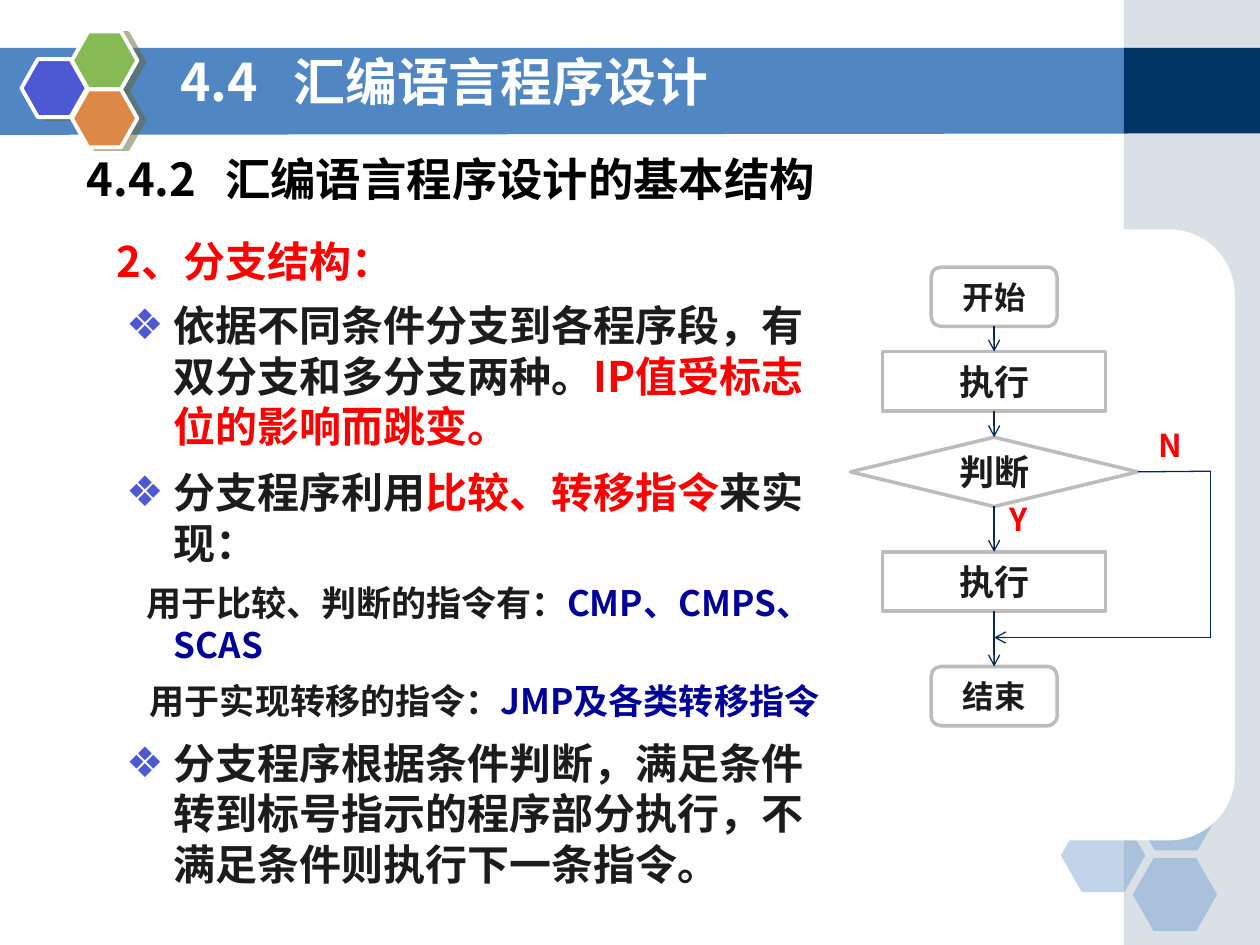
from lxml.etree import SubElement
from pptx import Presentation
from pptx.dml.color import RGBColor
from pptx.enum.shapes import MSO_CONNECTOR, MSO_SHAPE
from pptx.enum.text import MSO_ANCHOR, MSO_AUTO_SIZE, PP_ALIGN
from pptx.oxml.ns import qn
from pptx.util import Inches, Pt

FACE = "Noto Sans CJK SC"
HEX = {"band": "5086C2", "side": "A0B5C4", "navy": "003366", "blue": "4C59D2",
       "green": "85BA54", "orange": "DE8848", "shade": "666633", "white": "FFFFFF",
       "black": "000000", "ink": "1C1C1C", "red": "FF0000", "code": "000099",
       "edge": "BCBCBC", "wire": "002956"}

# Content: runs are (text, colour)
TITLE = ("4.4\t汇编语言程序设计", "white")
HEAD = ("4.4.2\t汇编语言程序设计的基本结构", "black")
TOPIC = ("2、分支结构：", "red")
BODY = [  # bullet, first-line indent, size, space before, runs
    (True, -0.38, 24, 6, [("依据不同条件分支到各程序段，有双分支和多分支两种。", "ink"),
                          ("IP值受标志位的影响而跳变。", "red")]),
    (True, -0.38, 24, 6, [("分支程序利用", "ink"), ("比较、转移指令", "red"),
                          ("来实现：", "ink")]),
    (False, -0.22, 20, 5, [("用于比较、判断的指令有：", "ink"),
                           ("CMP、CMPS、SCAS", "code")]),
    (False, -0.19, 20, 5, [("用于实现转移的指令：", "ink"),
                           ("JMP及各类转移指令", "code")]),
    (True, -0.38, 24, 6, [("分支程序根据条件判断，满足条件转到标号指示的程序部分执行，"
                           "不满足条件则执行下一条指令。", "ink")]),
]
ROUND, BOX, TEST = (MSO_SHAPE.FLOWCHART_ALTERNATE_PROCESS,
                    MSO_SHAPE.FLOWCHART_PROCESS, MSO_SHAPE.FLOWCHART_DECISION)
STEPS = [  # text, kind, top, width, height, size
    ("开始", ROUND, 2.12, 1, 0.47, 18),
    ("执行", BOX, 2.79, 1.77, 0.47, 20),
    ("判断", TEST, 3.47, 2.28, 0.55, 20),
    ("执行", BOX, 4.38, 1.77, 0.47, 20),
    ("结束", ROUND, 5.29, 1, 0.47, 18),
]
MARKS = [("Y", 7.76, 3.95), ("N", 8.96, 3.36)]
LOGO = [("blue", 0.17, 0.47), ("green", 0.57, 0.25), ("orange", 0.57, 0.71)]
CELLS = [(8.42, 6.5), (9, 6.17), (8.99, 6.81)]
AXIS, BACK, JOIN = 7.89, 9.61, 5.06  # flow centre, return line, merge height

deck = Presentation()
deck.slide_width, deck.slide_height = Inches(10), Inches(7.5)
page = deck.slides.add_slide(deck.slide_layouts[1])
shapes = page.shapes


def rgb(name):
    return RGBColor.from_string(HEX[name])


def paint(shape, fill=None, alpha=None, line=None, width=1):
    shape.shadow.inherit = False
    if fill:
        shape.fill.solid()
        shape.fill.fore_color.rgb = rgb(fill)
    else:
        shape.fill.background()
    if alpha:
        tint = shape.fill._xPr.find(qn("a:solidFill"))[0]
        SubElement(tint, qn("a:alpha"), val=str(alpha * 1000))
    if line:
        shape.line.color.rgb = rgb(line)
        shape.line.width = Pt(width)
    else:
        shape.line.fill.background()
    return shape


def draw(kind, at, **look):
    return paint(shapes.add_shape(kind, *map(Inches, at)), **look)


def write(para, runs, size):
    for text, tone in runs:
        run = para.add_run()
        run.text = text
        form = {"name": FACE, "size": Pt(size), "bold": True}
        for key, value in form.items():
            setattr(run.font, key, value)
        run.font.color.rgb = rgb(tone)
        SubElement(run.font._element, qn("a:ea"), typeface=FACE)


def setup(shape, anchor=MSO_ANCHOR.TOP):
    frame = shape.text_frame
    form = {"word_wrap": True, "auto_size": MSO_AUTO_SIZE.NONE,
            "vertical_anchor": anchor}
    for key, value in form.items():
        setattr(frame, key, value)
    return frame


def place(shape, at):
    for key, value in zip(("left", "top", "width", "height"), at):
        setattr(shape, key, Inches(value))
    shapes._spTree.append(shape._element)  # bring to front


def add_tab(para, pos):
    tabs = SubElement(para._p.get_or_add_pPr(), qn("a:tabLst"))
    SubElement(tabs, qn("a:tab"), pos=str(Inches(pos)), algn="l")


def label(shape, text, tone, size):
    para = setup(shape, MSO_ANCHOR.MIDDLE).paragraphs[0]
    para.alignment = PP_ALIGN.CENTER
    write(para, [(text, tone)], size)


def wire(start, end, arrow=True):
    line = shapes.add_connector(MSO_CONNECTOR.STRAIGHT, *map(Inches, start + end))
    line.line.color.rgb = rgb("wire")
    line.line.width = Pt(0.75)
    if arrow:
        SubElement(line.line._get_or_add_ln(), qn("a:tailEnd"), type="arrow")
    SubElement(line._element.spPr, qn("a:effectLst"))
    return line


# Header band and side strip
pen = shapes.build_freeform(Inches(-0.01), Inches(0.38))
pen.add_line_segments([(Inches(x), Inches(y)) for x, y in
                       [(8.95, 0.38), (8.95, 1.06), (-0.01, 1.07)]])
paint(pen.convert_to_shape(), fill="band")
draw(MSO_SHAPE.RECTANGLE, (8.92, 0, 1.08, 7.5), fill="side", alpha=40)
draw(MSO_SHAPE.RECTANGLE, (8.92, 0.38, 1.08, 0.68), fill="navy")

# Hexagons
for x, y in CELLS:
    cell = draw(MSO_SHAPE.HEXAGON, (x, y, 0.67, 0.58), fill="band", alpha=35)
    cell.adjustments[0] = 0.286
for tone, x, y in LOGO:
    cell = draw(MSO_SHAPE.HEXAGON, (x, y, 0.52, 0.46), fill=tone, line="white", width=2.25)
    cell.adjustments[0] = 0.283
    glow = SubElement(cell._element.spPr.find(qn("a:effectLst")), qn("a:outerShdw"),
                      dist=str(Pt(4.1)), dir=str(14 * 60000), algn="ctr", rotWithShape="0")
    SubElement(SubElement(glow, qn("a:srgbClr"), val=HEX["shade"]),
               qn("a:alpha"), val="50000")

# Card behind the flow chart
draw(ROUND, (6.67, 1.82, 3.13, 4.85), fill="white")

# Title and headings
title = shapes.title
place(title, (1.33, 0.36, 7.33, 0.62))
para = setup(title, MSO_ANCHOR.MIDDLE).paragraphs[0]
para.alignment = PP_ALIGN.LEFT
para.line_spacing = 0.9
add_tab(para, 0.9)
write(para, [TITLE], 29.6)
for run, at, size, stop in [(TOPIC, (0.83, 1.82, 8.11, 0.52), 24, None),
                            (HEAD, (0.59, 1.15, 7.4, 0.56), 25.9, 1.1)]:
    para = setup(shapes.add_textbox(*map(Inches, at))).paragraphs[0]
    if stop:
        add_tab(para, stop)
    write(para, [run], size)

# Body list
body = page.placeholders[1]
place(body, (0.9, 2.33, 5.82, 5.17))
frame = setup(body)
for i, (dot, indent, size, before, runs) in enumerate(BODY):
    para = frame.add_paragraph() if i else frame.paragraphs[0]
    para.space_before = Pt(before if i else 0)
    para.space_after = Pt(3)
    props = para._p.get_or_add_pPr()
    props.set("marL", str(Inches(0.38)))
    props.set("indent", str(Inches(indent)))
    if dot:
        tint = SubElement(props, qn("a:buClr"))
        SubElement(tint, qn("a:srgbClr"), val=HEX["blue"])
        SubElement(props, qn("a:buChar"), char="❖")
    else:
        SubElement(props, qn("a:buNone"))
    write(para, runs, size)

# Flow chart steps
nodes = []
for text, kind, top, wide, high, size in STEPS:
    node = draw(kind, (AXIS - wide / 2, top, wide, high), fill="white", line="edge", width=2)
    label(node, text, "ink", size)
    nodes.append(node)

# Arrows down the flow, then the bypass
for upper, lower in zip(nodes, nodes[1:]):
    line = wire((AXIS, 2), (AXIS, 3))
    line.begin_connect(upper, 2)
    line.end_connect(lower, 0)
wire((9.03, 3.74), (BACK, 3.74), arrow=False).begin_connect(nodes[2], 3)
wire((BACK, 3.74), (BACK, JOIN), arrow=False)
wire((BACK, JOIN), (AXIS, JOIN))
for text, x, y in MARKS:
    label(draw(BOX, (x, y, 0.65, 0.34)), text, "red", 18)

deck.save("out.pptx")
